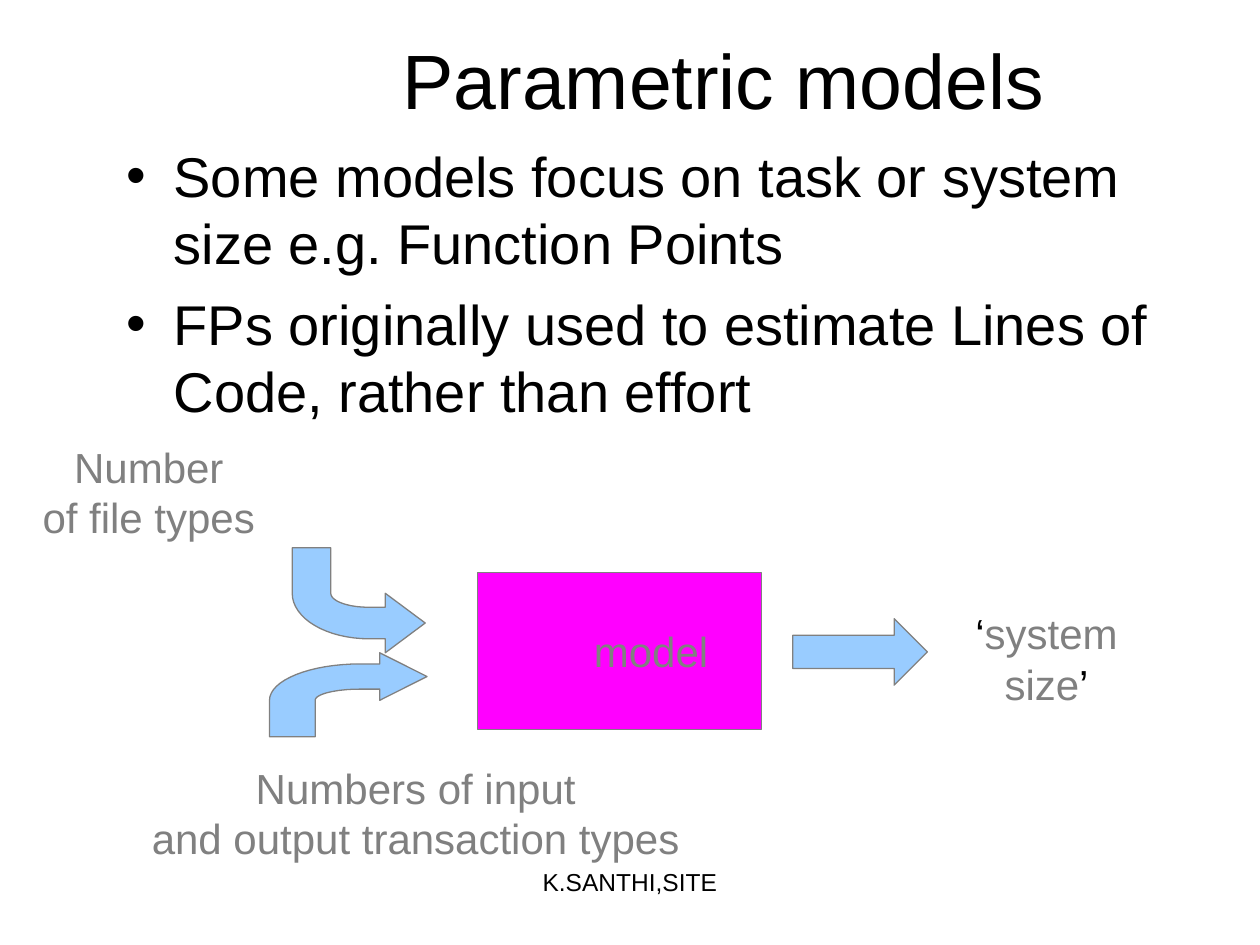
"""Build the "Parametric models" slide: title, bullets and a size-model diagram."""
from math import cos, pi, sin

from lxml.etree import SubElement
from pptx import Presentation
from pptx.dml.color import RGBColor
from pptx.enum.shapes import MSO_SHAPE
from pptx.enum.text import MSO_ANCHOR as Anchor, MSO_AUTO_SIZE as AutoSize, PP_ALIGN as Align
from pptx.oxml.ns import qn
from pptx.util import Pt

BLACK = RGBColor(0x00, 0x00, 0x00)
GRAY = RGBColor(0x80, 0x80, 0x80)
MAGENTA = RGBColor(0xFF, 0x00, 0xFF)
LIGHT_BLUE = RGBColor(0x99, 0xCC, 0xFF)
FONT = "Arial"


def style_shape(shape, fill):
    shape.shadow.inherit = False
    shape.fill.solid()
    shape.fill.fore_color.rgb = fill
    shape.line.color.rgb = GRAY
    shape.line.width = Pt(0.75)


def style_text(paragraph, size, color, align=Align.CENTER):
    paragraph.alignment = align
    paragraph.font.name = FONT
    paragraph.font.size = Pt(size)
    if color is not None:
        paragraph.font.color.rgb = color


presentation = Presentation()
presentation.slide_width = Pt(720)
presentation.slide_height = Pt(540)
slide = presentation.slides.add_slide(presentation.slide_layouts[1])
shapes = slide.shapes

title = shapes.title
title.left, title.top, title.width, title.height = Pt(107.5), Pt(0), Pt(612), Pt(90)
title.text_frame.text = "Parametric models"
title.text_frame.auto_size = AutoSize.NONE
title.text_frame.vertical_anchor = Anchor.MIDDLE
style_text(title.text_frame.paragraphs[0], 44, BLACK)

body = slide.placeholders[1]
body.left, body.top, body.width, body.height = Pt(65), Pt(77), Pt(612), Pt(186)
body.text_frame.text = (
    "Some models focus on task or system size e.g. Function Points\n"
    "FPs originally used to estimate Lines of Code, rather than effort"
)
body.text_frame.auto_size = AutoSize.NONE
for index, paragraph in enumerate(body.text_frame.paragraphs):
    paragraph.space_before = Pt(8 * index)
    properties = paragraph._p.get_or_add_pPr()
    properties.set("marL", str(Pt(27)))
    properties.set("indent", str(Pt(-27)))
    SubElement(properties, qn("a:buChar")).set("char", "•")
    style_text(paragraph, 32, BLACK, Align.LEFT)

model = shapes.add_shape(MSO_SHAPE.RECTANGLE, Pt(273), Pt(327), Pt(162), Pt(90))
style_shape(model, MAGENTA)
model.text_frame.text = "model"
model.text_frame.word_wrap = False
model.text_frame.vertical_anchor = Anchor.MIDDLE
model_paragraph = model.text_frame.paragraphs[0]
model_paragraph.level = 1
model_paragraph._p.get_or_add_pPr().set("marL", str(Pt(36)))
style_text(model_paragraph, 24, GRAY)

labels = [
    ((0, 248.5, 170, 65), True, ["Number", "of file types"]),
    ((79.5, 432, 316, 65), False, ["Numbers of input", "and output transaction types"]),
]
for position, wrap, lines in labels:
    label = shapes.add_textbox(*map(Pt, position))
    label.text_frame.text = "\n".join(lines)
    label.text_frame.word_wrap = wrap
    label.text_frame.vertical_anchor = Anchor.MIDDLE
    for paragraph in label.text_frame.paragraphs:
        style_text(paragraph, 24, GRAY)

quarter = [step * pi / 32 for step in range(17)]
outer_curve = [(0.576 - 0.576 * cos(a), 0.566 - 0.433 * sin(a)) for a in quarter]
inner_curve = [(0.576 - 0.286 * cos(a), 0.566 - 0.133 * sin(a)) for a in reversed(quarter)]
arrow_head = [(0.7, 0.133), (0.7, 0), (1, 0.283), (0.7, 0.566), (0.7, 0.433)]
bent_outline = [(0, 1), *outer_curve, *arrow_head, *inner_curve, (0.29, 1)]

for left, head_edge, width, height in [(154, 373, 90, 48), (167, 373, 76, -60)]:
    points = [(Pt(left + x * width), Pt(head_edge + y * height)) for x, y in bent_outline]
    builder = shapes.build_freeform(*points[0])
    builder.add_line_segments(points[1:], close=True)
    style_shape(builder.convert_to_shape(), LIGHT_BLUE)

output_arrow = shapes.add_shape(MSO_SHAPE.RIGHT_ARROW, Pt(453), Pt(353.5), Pt(77), Pt(38))
style_shape(output_arrow, LIGHT_BLUE)

result = shapes.add_textbox(Pt(550), Pt(343.5), Pt(96), Pt(65))
result.text_frame.word_wrap = False
result.text_frame.vertical_anchor = Anchor.MIDDLE
result.text_frame.text = "\n"
result_lines = [[("‘", BLACK), ("system", GRAY)], [("size", GRAY), ("’", BLACK)]]
for paragraph, runs in zip(result.text_frame.paragraphs, result_lines):
    style_text(paragraph, 24, None)
    for text, color in runs:
        run = paragraph.add_run()
        run.text = text
        run.font.color.rgb = color

footer = shapes.add_textbox(Pt(246), Pt(492), Pt(228), Pt(37.5))
footer.text_frame.word_wrap = True
footer.text_frame.text = "K.SANTHI,SITE"
style_text(footer.text_frame.paragraphs[0], 14, BLACK)

presentation.save("out.pptx")
